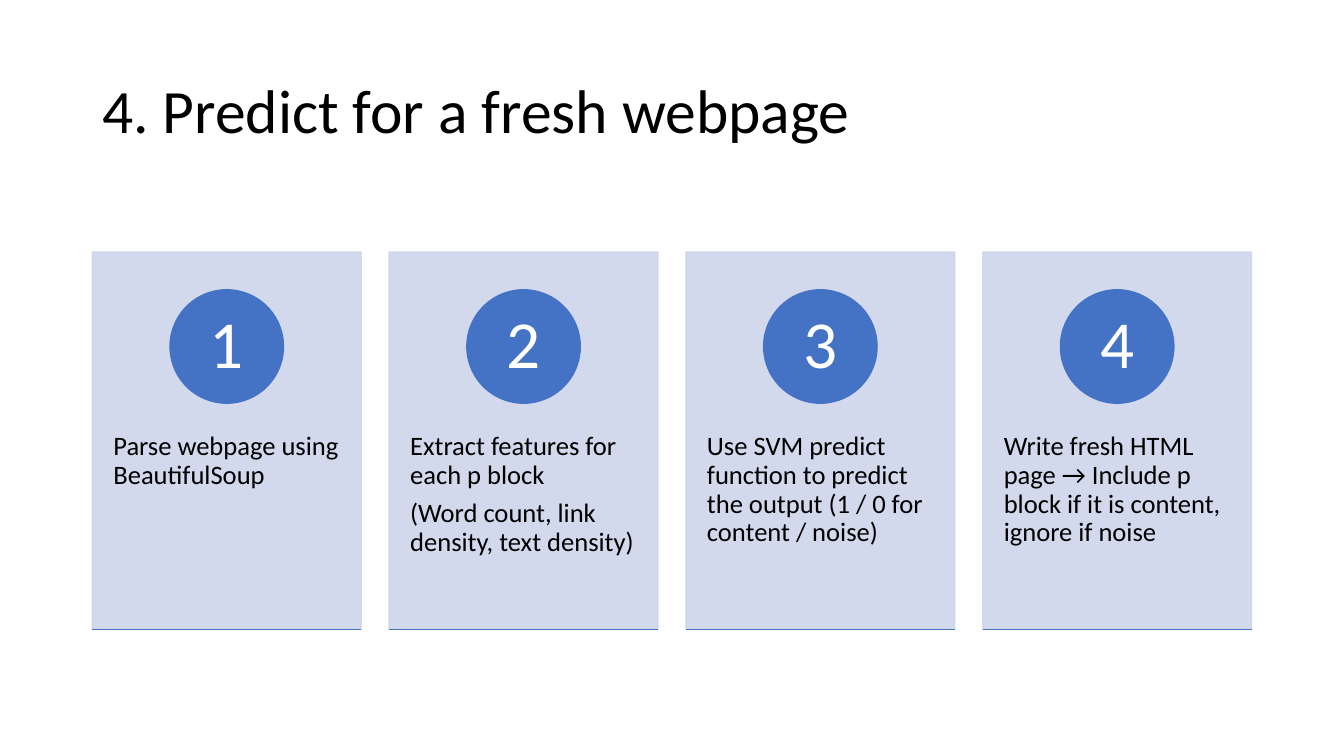
from lxml import etree
from pptx import Presentation
from pptx.dml.color import RGBColor
from pptx.enum.shapes import MSO_CONNECTOR, MSO_SHAPE
from pptx.enum.text import MSO_ANCHOR, PP_ALIGN
from pptx.oxml.ns import qn
from pptx.util import Pt

TITLE = "4. Predict for a fresh webpage"
STEPS = [
    ["Parse webpage using BeautifulSoup"],
    ["Extract features for each p block",
     "(Word count, link density, text density)"],
    ["Use SVM predict function to predict the output (1 / 0 for content / noise)"],
    ["Write fresh HTML page → Include p block if it is content, ignore if noise"],
]

COLORS = {"text": "000000", "card": "CFD5EA", "accent": "4472C4", "number": "FFFFFF"}
FONT = "Calibri"
RECTANGLE, OVAL = MSO_SHAPE.RECTANGLE, MSO_SHAPE.OVAL
STRAIGHT = MSO_CONNECTOR.STRAIGHT
TOP, MIDDLE = MSO_ANCHOR.TOP, MSO_ANCHOR.MIDDLE
LEFT, CENTER = PP_ALIGN.LEFT, PP_ALIGN.CENTER

SLIDE_WIDTH, SLIDE_HEIGHT = 960, 540
MARGIN = 66
CONTENT_WIDTH = SLIDE_WIDTH - 2 * MARGIN
CARD_TOP, CARD_WIDTH, CARD_HEIGHT = 180, 192, 269.5
CARD_PITCH = (CONTENT_WIDTH - CARD_WIDTH) / (len(STEPS) - 1)
CIRCLE_TOP, CIRCLE_SIZE = 207, 81


def color(name):
    return RGBColor.from_string(COLORS[name])


def write_text(shape, lines, size, color_name, anchor, alignment, insets):
    """Fill the shape with one paragraph per line; insets are left, top, right, bottom."""
    frame = shape.text_frame
    frame.word_wrap = True
    frame.vertical_anchor = anchor
    (frame.margin_left, frame.margin_top,
     frame.margin_right, frame.margin_bottom) = map(Pt, insets)
    frame.text = "\n".join(lines)
    for paragraph in frame.paragraphs:
        paragraph.alignment = alignment
        paragraph.line_spacing = 0.9
        paragraph.space_after = Pt(round(size * 0.35))
        paragraph.font.name = FONT
        paragraph.font.size = Pt(size)
        paragraph.font.color.rgb = color(color_name)


def add_filled_shape(slide, kind, left, top, width, height, color_name):
    shape = slide.shapes.add_shape(kind, Pt(left), Pt(top), Pt(width), Pt(height))
    shape.shadow.inherit = False
    shape.fill.solid()
    shape.fill.fore_color.rgb = color(color_name)
    shape.line.color.rgb = color(color_name)
    shape.line.width = Pt(1)
    return shape


def make_translucent(shape, percent):
    """Set the opacity of the fill and the outline."""
    for rgb in shape._element.spPr.iter(qn("a:srgbClr")):
        etree.SubElement(rgb, qn("a:alpha"), val=str(percent * 1000))


def add_step(slide, number, lines, left):
    card = add_filled_shape(slide, RECTANGLE, left, CARD_TOP,
                            CARD_WIDTH, CARD_HEIGHT, "card")
    make_translucent(card, 90)
    write_text(card, lines, 19, "text", TOP, LEFT, (15, 129, 15, 26))

    circle_left = left + (CARD_WIDTH - CIRCLE_SIZE) / 2
    circle = add_filled_shape(slide, OVAL, circle_left, CIRCLE_TOP,
                              CIRCLE_SIZE, CIRCLE_SIZE, "accent")
    write_text(circle, [str(number)], 48, "number", MIDDLE, CENTER, (6, 1, 6, 1))

    bottom = Pt(CARD_TOP + CARD_HEIGHT)
    base_line = slide.shapes.add_connector(STRAIGHT, Pt(left), bottom,
                                           Pt(left + CARD_WIDTH), bottom)
    base_line.line.color.rgb = color("accent")
    base_line.line.width = Pt(1)
    etree.SubElement(base_line._element.spPr, qn("a:effectLst"))


def main():
    presentation = Presentation()
    presentation.slide_width = Pt(SLIDE_WIDTH)
    presentation.slide_height = Pt(SLIDE_HEIGHT)
    slide = presentation.slides.add_slide(presentation.slide_layouts[6])

    title = slide.shapes.add_textbox(Pt(MARGIN), Pt(28.8), Pt(CONTENT_WIDTH), Pt(104.4))
    write_text(title, [TITLE], 44, "text", MIDDLE, LEFT, (7.2, 3.6, 7.2, 3.6))

    for index, lines in enumerate(STEPS):
        add_step(slide, index + 1, lines, MARGIN + index * CARD_PITCH)

    presentation.save("out.pptx")


if __name__ == "__main__":
    main()
